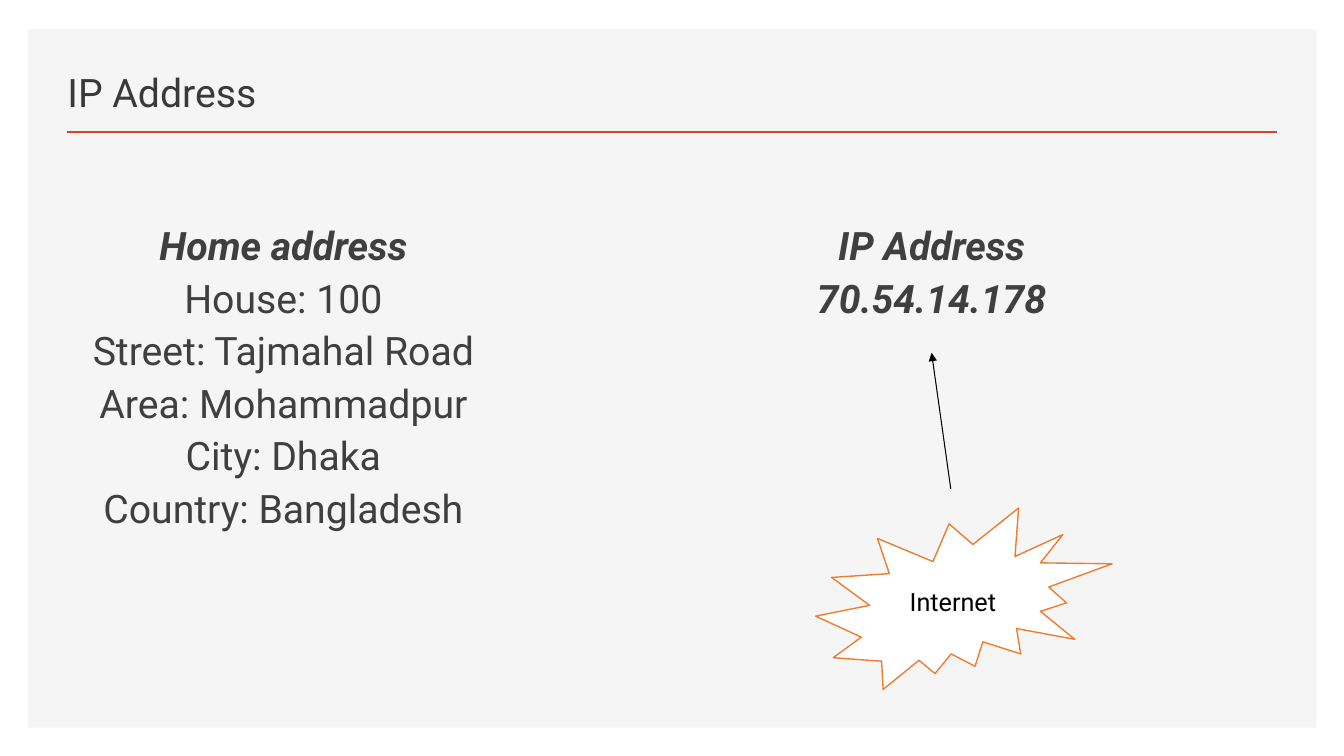
from dataclasses import dataclass

from lxml import etree
from pptx import Presentation
from pptx.dml.color import RGBColor
from pptx.enum.shapes import MSO_CONNECTOR as Connector, MSO_SHAPE as Shape
from pptx.enum.text import MSO_ANCHOR as Anchor, PP_ALIGN as Align
from pptx.oxml.ns import qn
from pptx.util import Inches, Pt


@dataclass(frozen=True)
class Theme:
    font: str = "Roboto"
    panel: str = "F5F5F5"
    rule: str = "D24726"
    title: str = "3A3838"
    body: str = "3F3F3F"
    burst_fill: str = "FFFFFF"
    burst_line: str = "ED7D31"
    black: str = "000000"
    large: int = 28
    label: int = 18


theme = Theme()


def write_lines(shape, lines, size, color, bold_lines=0):
    """Fill a shape with paragraphs; the first bold_lines are bold italic."""
    frame = shape.text_frame
    frame.word_wrap = True
    frame.text = "\n".join(lines)
    for index, paragraph in enumerate(frame.paragraphs):
        font = paragraph.runs[0].font
        font.name = theme.font
        font.size = Pt(size)
        font.color.rgb = RGBColor.from_string(color)
        font.bold = font.italic = index < bold_lines


def add_line(start, end, color, width):
    """Draw a straight line without a shadow and return its a:ln element."""
    line = slide.shapes.add_connector(
        Connector.STRAIGHT, *(Inches(value) for value in start + end))
    line.line.color.rgb = RGBColor.from_string(color)
    line.line.width = Pt(width)
    properties = line._element.spPr
    etree.SubElement(properties, qn("a:effectLst"))
    return properties.find(qn("a:ln"))


presentation = Presentation()
presentation.slide_width = Inches(13.33)
presentation.slide_height = Inches(7.5)
slide = presentation.slides.add_slide(presentation.slide_layouts[6])

# Panel and title
panel = slide.shapes.add_shape(
    Shape.RECTANGLE, Inches(0.28), Inches(0.29), Inches(12.78), Inches(6.93))
panel.shadow.inherit = False
panel.fill.solid()
panel.fill.fore_color.rgb = RGBColor.from_string(theme.panel)
panel.line.fill.background()

add_line((0.66, 1.31), (12.67, 1.31), theme.rule, 2)

title = slide.shapes.add_textbox(
    Inches(0.57), Inches(0.49), Inches(7.52), Inches(0.7))
write_lines(title, ["IP Address"], theme.large, theme.title)
title.text_frame.vertical_anchor = Anchor.BOTTOM

# The two addresses side by side: left, width, height, bold lines, text
addresses = [
    (0.57, 4.48, 2.9, 1, ["Home address", "House: 100", "Street: Tajmahal Road",
                          "Area: Mohammadpur", "City: Dhaka",
                          "Country: Bangladesh"]),
    (6.95, 4.58, 1.1, 2, ["IP Address", "70.54.14.178"]),
]
for left, width, height, bold_lines, lines in addresses:
    address = slide.shapes.add_textbox(
        Inches(left), Inches(2.3), Inches(width), Inches(height))
    write_lines(address, lines, theme.large, theme.body, bold_lines)
    for index, paragraph in enumerate(address.text_frame.paragraphs):
        paragraph.alignment = Align.CENTER
        paragraph.line_spacing = 0.64
        paragraph.space_before = Pt(16 if index else 0)

# Internet burst pointing at the IP address
burst = slide.shapes.add_shape(
    Shape.EXPLOSION2, Inches(8.09), Inches(5.04), Inches(2.94), Inches(1.8))
burst.shadow.inherit = False
burst.fill.solid()
burst.fill.fore_color.rgb = RGBColor.from_string(theme.burst_fill)
burst.line.color.rgb = RGBColor.from_string(theme.burst_line)
burst.line.width = Pt(1)
write_lines(burst, ["Internet"], theme.label, theme.black)
burst.text_frame.vertical_anchor = Anchor.MIDDLE
burst.text_frame.paragraphs[0].alignment = Align.CENTER

arrow = add_line((9.43, 4.85), (9.24, 3.5), theme.black, 0.75)
etree.SubElement(arrow, qn("a:tailEnd"), type="triangle")

presentation.save("out.pptx")
